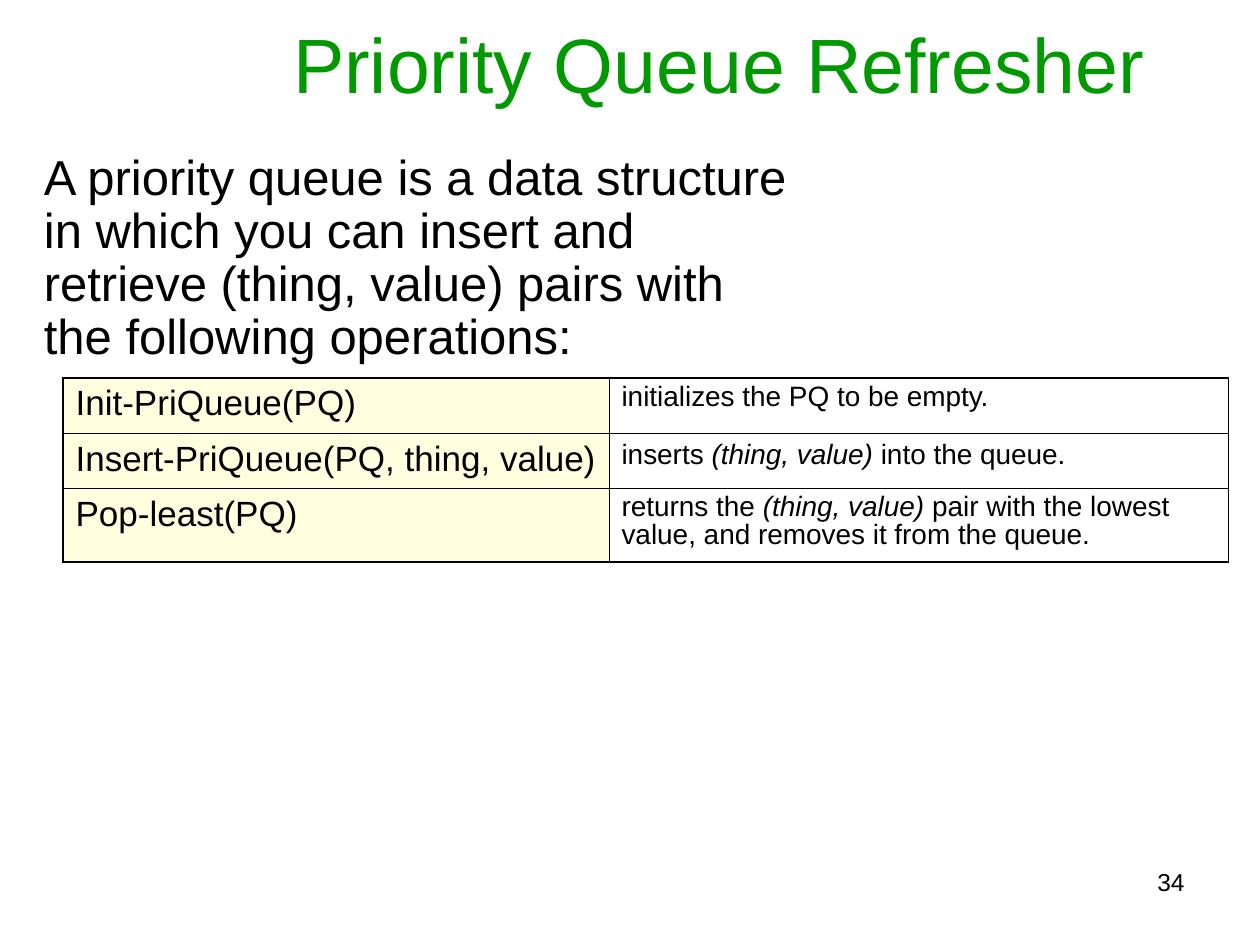
from lxml import etree
from pptx import Presentation
from pptx.dml.color import RGBColor
from pptx.enum.text import MSO_ANCHOR, PP_ALIGN
from pptx.oxml.ns import qn
from pptx.util import Inches, Pt

LEFT, CENTER, RIGHT = PP_ALIGN.LEFT, PP_ALIGN.CENTER, PP_ALIGN.RIGHT
TOP, MIDDLE = MSO_ANCHOR.TOP, MSO_ANCHOR.MIDDLE
BLACK = RGBColor(0x00, 0x00, 0x00)
GREEN = RGBColor(0x00, 0x99, 0x00)
CREAM = RGBColor(0xFF, 0xFF, 0xDF)
FONT = "Arial"
GRID_COLS, GRID_ROWS = 120, 90
UNIT = Inches(10) / GRID_COLS
OUTER, INNER = 1.08, 0.45

COL_UNITS = (52, 59)
ROW_UNITS = (5.25, 5.25, 7)
PAIR = ("(thing, value)", True)
OPERATIONS = (
    ("Init-PriQueue(PQ)", ["initializes the PQ to be empty."], 0.9),
    ("Insert-PriQueue(PQ, thing, value)",
     ["inserts ", PAIR, " into the queue."], 1.0),
    ("Pop-least(PQ)",
     ["returns the ", PAIR,
      " pair with the lowest value, and removes it from the queue."], 0.9),
)


def grid(*units):
    return [round(u * UNIT) for u in units]


def write(tf, parts, size, color=BLACK, align=LEFT, anchor=TOP, spacing=1.0):
    tf.word_wrap = True
    tf.vertical_anchor = anchor
    p = tf.paragraphs[0]
    p.alignment = align
    p.line_spacing = spacing
    p.space_before = Pt(0)
    for part in [parts] if isinstance(parts, str) else parts:
        text, italic = (part, False) if isinstance(part, str) else part
        r = p.add_run()
        r.text = text
        r.font.name = FONT
        r.font.size = Pt(size)
        r.font.italic = italic
        r.font.color.rgb = color


def add_title(slide, text, box):
    sp = slide.shapes.title
    sp.left, sp.top, sp.width, sp.height = grid(*box)
    write(sp.text_frame, text, 44, color=GREEN, align=CENTER, anchor=MIDDLE)


def add_text(slide, text, box, size, **fmt):
    sp = slide.shapes.add_textbox(*grid(*box))
    write(sp.text_frame, text, size, **fmt)


def set_borders(cell, widths):
    tc_pr = cell._tc.get_or_add_tcPr()
    for i, (side, width) in enumerate(zip("LRTB", widths)):
        ln = etree.Element(qn(f"a:ln{side}"), w=str(Pt(width)))
        fill = etree.SubElement(ln, qn("a:solidFill"))
        etree.SubElement(fill, qn("a:srgbClr"), val=str(BLACK))
        tc_pr.insert(i, ln)


def add_operations(slide, left, top):
    rows, cols = len(ROW_UNITS), len(COL_UNITS)
    box = grid(left, top, sum(COL_UNITS), sum(ROW_UNITS))
    table = slide.shapes.add_table(rows, cols, *box).table
    table.first_row = table.horz_banding = False
    for col, width in zip(table.columns, grid(*COL_UNITS)):
        col.width = width
    for row, height in zip(table.rows, grid(*ROW_UNITS)):
        row.height = height
    for i, (call, meaning, spacing) in enumerate(OPERATIONS):
        name, effect = table.cell(i, 0), table.cell(i, 1)
        write(name.text_frame, call, 20)
        write(effect.text_frame, meaning, 16, spacing=spacing)
        name.fill.solid()
        name.fill.fore_color.rgb = CREAM
        effect.fill.background()
        for j, cell in enumerate((name, effect)):
            edges = (j == 0, j == cols - 1, i == 0, i == rows - 1)
            set_borders(cell, [OUTER if edge else INNER for edge in edges])


def main():
    prs = Presentation()
    prs.slide_width, prs.slide_height = grid(GRID_COLS, GRID_ROWS)
    slide = prs.slides.add_slide(prs.slide_layouts[5])
    add_title(slide, "Priority Queue Refresher", (22, 1, 93, 10))
    add_text(slide,
             "A priority queue is a data structure in which you can insert and "
             "retrieve (thing, value) pairs with the following operations:",
             (3, 14, 74, 23), 28, spacing=0.9)
    add_operations(slide, 6, 36)
    add_text(slide, "34", (58, 82, 56, 6.25), 14, align=RIGHT)
    prs.save("out.pptx")


if __name__ == "__main__":
    main()
